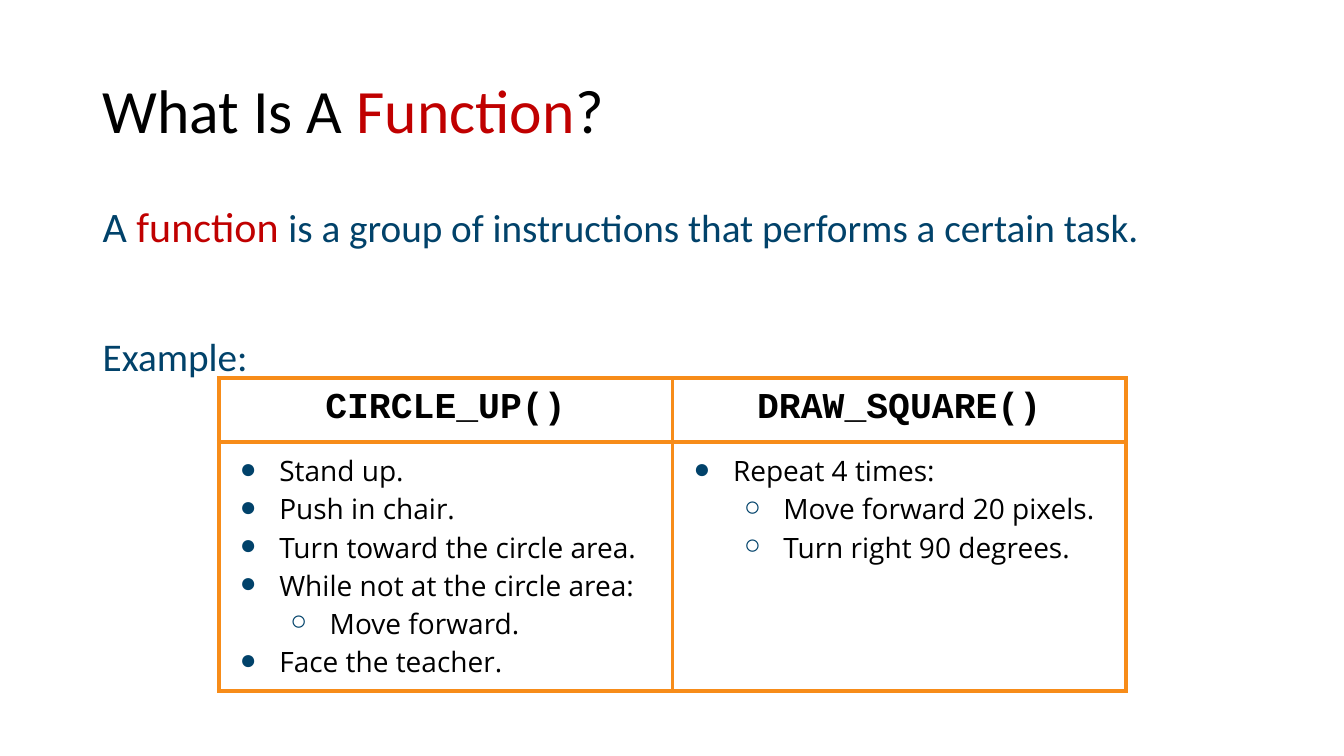
from lxml.etree import SubElement
from pptx import Presentation
from pptx.dml.color import RGBColor as RGB
from pptx.enum.text import MSO_ANCHOR as Anchor, PP_ALIGN as Align
from pptx.oxml import parse_xml
from pptx.oxml.ns import nsdecls, qn
from pptx.util import Pt

PX = 9144  # EMU per px, 100 px to the inch
COLORS = {"black": "000000", "red": "C00000", "navy": "01426A",
          "orange": "F78C19", "white": "FFFFFF"}
BULLETS = "●○"  # one per level

HEADERS = ["CIRCLE_UP()", "DRAW_SQUARE()"]
STEPS = [  # (level, text) for each column
    [(0, "Stand up."), (0, "Push in chair."), (0, "Turn toward the circle area."),
     (0, "While not at the circle area:"), (1, "Move forward."),
     (0, "Face the teacher.")],
    [(0, "Repeat 4 times:"), (1, "Move forward 20 pixels."),
     (1, "Turn right 90 degrees.")],
]


class Deck:
    def __init__(self, width, height):
        self.prs = Presentation()
        self.prs.slide_width, self.prs.slide_height = width * PX, height * PX
        self.slide = self.prs.slides.add_slide(self.prs.slide_layouts[6])

    def style(self, run, font, size, color, bold=False):
        run.font.name, run.font.size, run.font.bold = font, Pt(size), bold
        run.font.color.rgb = RGB.from_string(COLORS[color])

    def text(self, box, lines, anchor=Anchor.TOP):
        """Each line is (space before in points, [(text, size, color), ...])."""
        frame = self.slide.shapes.add_textbox(*(n * PX for n in box)).text_frame
        frame.word_wrap, frame.vertical_anchor = True, anchor
        for i, (gap, parts) in enumerate(lines):
            paragraph = frame.add_paragraph() if i else frame.paragraphs[0]
            paragraph.line_spacing, paragraph.space_before = 0.9, Pt(gap)
            for words, size, color in parts:
                run = paragraph.add_run()
                run.text = words
                self.style(run, "Calibri", size, color)

    def table(self, left, top, widths, heights):
        table = self.slide.shapes.add_table(
            len(heights), len(widths), left * PX, top * PX,
            sum(widths) * PX, sum(heights) * PX).table
        table.first_row = table.horz_banding = False
        for column, width in zip(table.columns, widths):
            column.width = width * PX
        for row, height in zip(table.rows, heights):
            row.height = height * PX
        for cell in table.iter_cells():
            self.cell(cell)
        return table

    def cell(self, cell):
        cell.fill.solid()
        cell.fill.fore_color.rgb = RGB.from_string(COLORS["white"])
        cell.margin_left = cell.margin_right = 10 * PX
        cell.margin_top = cell.margin_bottom = 10 * PX
        for i, side in enumerate("LRTB"):
            cell._tc.get_or_add_tcPr().insert(i, parse_xml(
                f'<a:ln{side} {nsdecls("a")} w="{Pt(3)}"><a:solidFill>'
                f'<a:srgbClr val="{COLORS["orange"]}"/></a:solidFill></a:ln{side}>'))

    def header(self, cell, name):
        paragraph = cell.text_frame.paragraphs[0]
        paragraph.text, paragraph.alignment = name, Align.CENTER
        self.style(paragraph.runs[0], "Courier New", 26, "black", bold=True)

    def bullets(self, cell, steps):
        frame = cell.text_frame
        frame.text = "\n".join(words for _, words in steps)
        for paragraph, (level, _) in zip(frame.paragraphs, steps):
            paragraph.level = level
            self.style(paragraph.runs[0], "Open Sans", 20, "black")
            props = paragraph._p.get_or_add_pPr()
            props.set("marL", str(50 * (level + 1) * PX))
            props.set("indent", str(-39 * PX))
            tint = SubElement(props, qn("a:buClr"))
            SubElement(tint, qn("a:srgbClr"), val=COLORS["navy"])
            SubElement(props, qn("a:buFont"), typeface="Courier New")
            SubElement(props, qn("a:buChar"), char=BULLETS[level])


def main():
    deck = Deck(1333, 750)

    # Title
    deck.text((92, 40, 1150, 145),
              [(0, [("What Is A ", 44, "black"), ("Function", 44, "red"),
                    ("?", 44, "black")])], Anchor.MIDDLE)

    # Definition and lead-in to the example
    deck.text((92, 200, 1150, 476), [
        (0, [("A ", 30, "navy"), ("function ", 30, "red"),
             ("is a group of instructions that performs a certain task.", 28, "navy")]),
        (61, [("Example:", 28, "navy")]),
    ])

    # Example functions, with a second row tall enough for six steps
    examples = deck.table(217, 375, [450, 450], [62, 247])
    for column, (name, steps) in enumerate(zip(HEADERS, STEPS)):
        deck.header(examples.cell(0, column), name)
        deck.bullets(examples.cell(1, column), steps)

    deck.prs.save("out.pptx")


if __name__ == "__main__":
    main()
